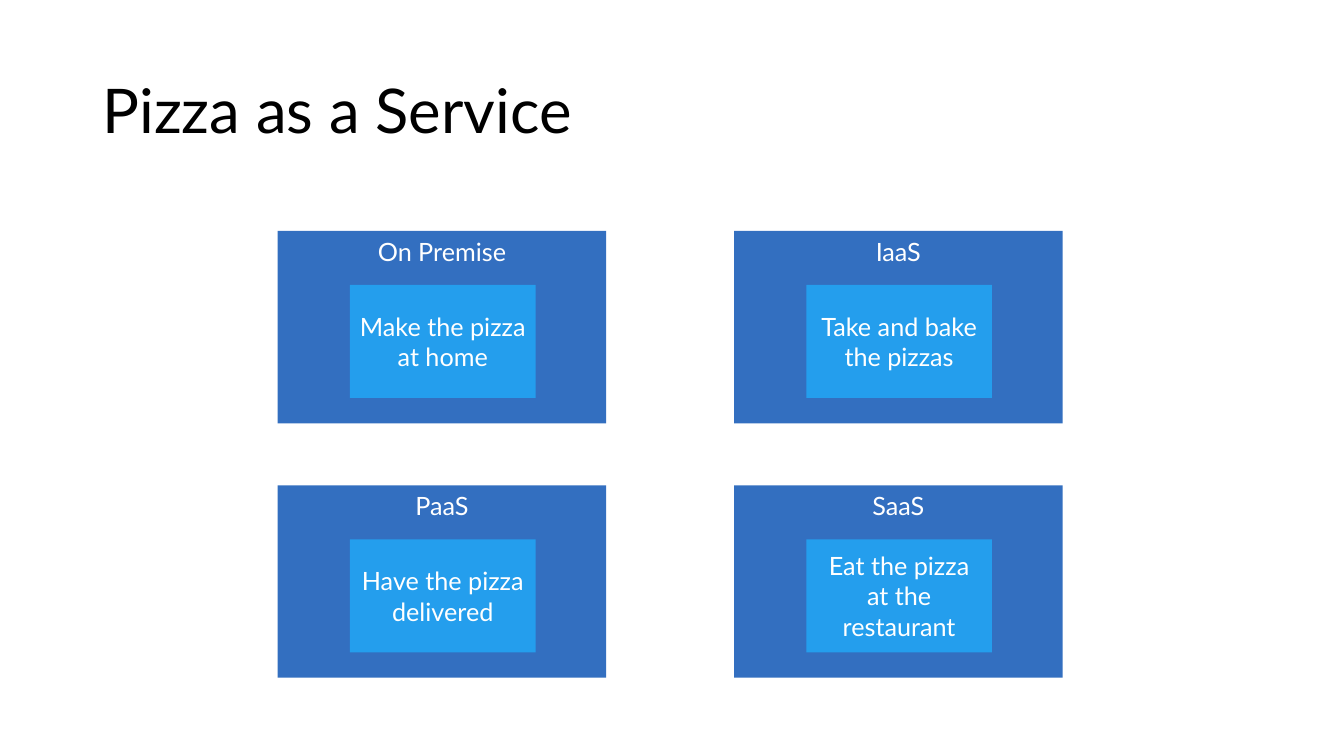
from dataclasses import dataclass

from pptx import Presentation
from pptx.dml.color import RGBColor
from pptx.enum.shapes import MSO_SHAPE
from pptx.enum.text import MSO_ANCHOR, PP_ALIGN
from pptx.util import Cm, Pt


@dataclass(frozen=True)
class Theme:
    font: str = "Lato"
    ink: str = "000000"
    light: str = "FFFFFF"
    outer: str = "336FC0"
    inner: str = "249EED"
    head: int = 44
    body: int = 18


class Deck:
    def __init__(self, theme):
        self.theme = theme
        self.deck = Presentation()
        self.deck.slide_width = Cm(33.87)
        self.deck.slide_height = Cm(19.05)
        self.slide = self.deck.slides.add_slide(self.deck.slide_layouts[5])

    def label(self, shape, text, size, color, align, anchor):
        frame = shape.text_frame
        frame.word_wrap = True
        frame.vertical_anchor = anchor
        para = frame.paragraphs[0]
        para.alignment = align
        run = para.add_run()
        run.text = text
        run.font.name = self.theme.font
        run.font.size = Pt(size)
        run.font.color.rgb = RGBColor.from_string(color)
        return para

    def title(self, text, left, top, width, height):
        shape = self.slide.shapes.title
        shape.left, shape.top = Cm(left), Cm(top)
        shape.width, shape.height = Cm(width), Cm(height)
        para = self.label(shape, text, self.theme.head, self.theme.ink,
                          PP_ALIGN.LEFT, MSO_ANCHOR.MIDDLE)
        para.line_spacing = 0.9

    def box(self, text, left, top, width, height, fill, anchor):
        shape = self.slide.shapes.add_shape(
            MSO_SHAPE.RECTANGLE, Cm(left), Cm(top), Cm(width), Cm(height))
        shape.shadow.inherit = False
        shape.fill.solid()
        shape.fill.fore_color.rgb = RGBColor.from_string(fill)
        shape.line.fill.background()
        self.label(shape, text, self.theme.body, self.theme.light,
                   PP_ALIGN.CENTER, anchor)

    def card(self, model, pizza, left, top):
        self.box(model, left, top, 8.28, 4.85,
                 self.theme.outer, MSO_ANCHOR.TOP)
        self.box(pizza, left + 1.82, top + 1.36, 4.68, 2.85,
                 self.theme.inner, MSO_ANCHOR.MIDDLE)


def main():
    deck = Deck(Theme())
    deck.title("Pizza as a Service", 2.33, 1.01, 29.21, 3.68)
    models = [
        ("On Premise", "Make the pizza at home"),
        ("IaaS", "Take and bake the pizzas"),
        ("PaaS", "Have the pizza delivered"),
        ("SaaS", "Eat the pizza at the restaurant"),
    ]
    for index, (model, pizza) in enumerate(models):
        row, col = divmod(index, 2)
        deck.card(model, pizza, 7 + col * 11.5, 5.82 + row * 6.41)
    deck.deck.save("out.pptx")


if __name__ == "__main__":
    main()
